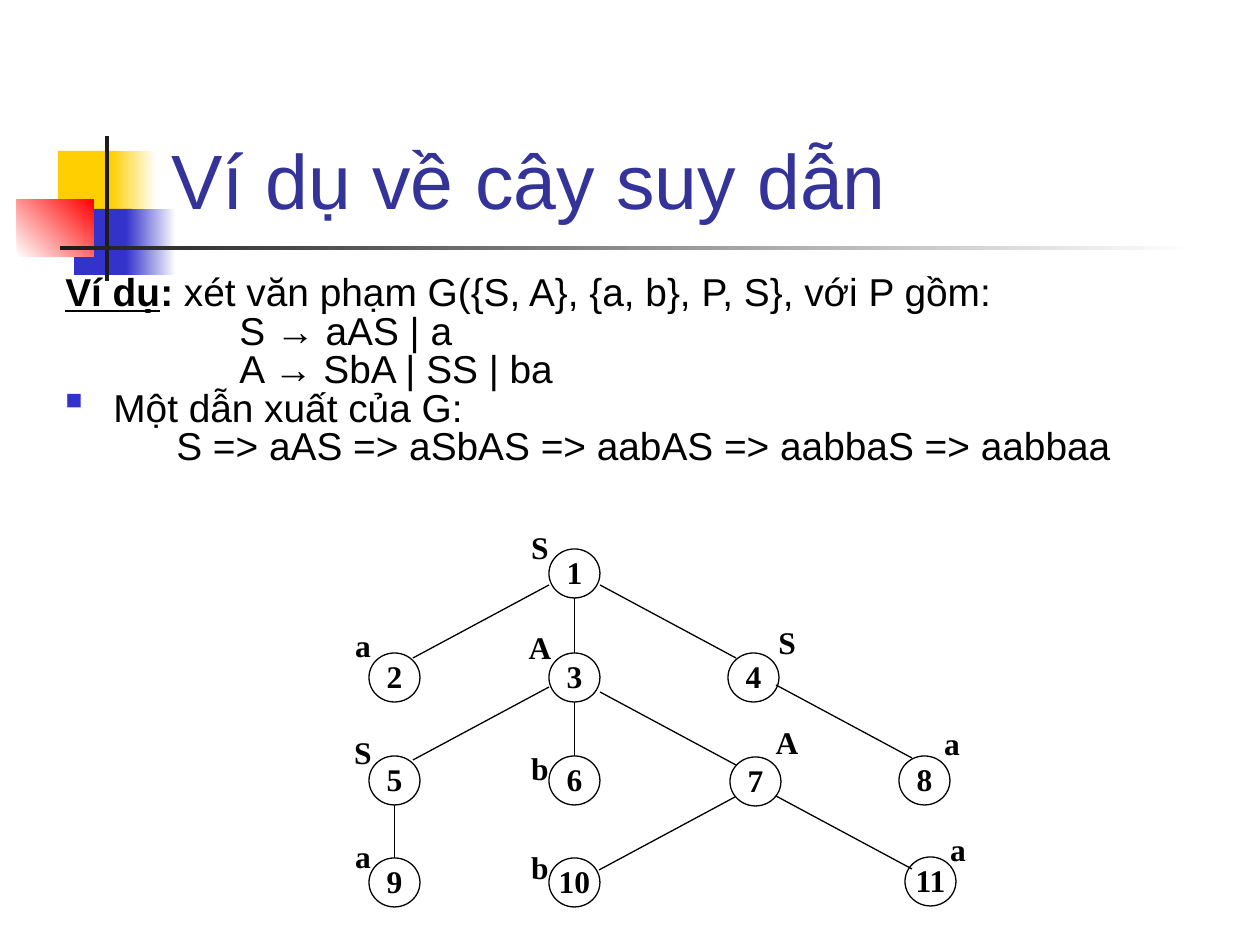
"""Builds the slide about a derivation tree for a small grammar."""
import lxml.etree
import pptx
import pptx.dml.color
import pptx.enum.shapes
import pptx.enum.text
import pptx.oxml
import pptx.oxml.ns
import pptx.util

RGB = pptx.dml.color.RGBColor
SHAPE = pptx.enum.shapes.MSO_SHAPE
ALIGN = pptx.enum.text.PP_ALIGN
ANCHOR = pptx.enum.text.MSO_ANCHOR
qn = pptx.oxml.ns.qn

WHITE = RGB(0xFF, 0xFF, 0xFF)
BLACK = RGB(0x00, 0x00, 0x00)
YELLOW = RGB(0xFF, 0xCF, 0x01)
BLUE = RGB(0x33, 0x33, 0xCC)
RED = RGB(0xFF, 0x00, 0x00)
DARK = RGB(0x1C, 0x1C, 0x1C)
NAVY = RGB(0x33, 0x33, 0x99)

NODE_W, NODE_H = 51, 49
LABEL_W, LABEL_H = 54, 34
BRANCH_W, BRANCH_H = 136, 73

DECOR = [
    (58, 151, 60, 66, YELLOW, None, 0),
    (111, 151, 45, 66, YELLOW, WHITE, 0),
    (74, 209, 58, 66, BLUE, None, 0),
    (126, 209, 50, 66, BLUE, WHITE, 0),
    (17, 199, 77, 58, WHITE, RED, 45),
    (105, 136, 4, 145, DARK, None, 0),
    (60, 246, 1134, 4, DARK, WHITE, 0),
]
BODY = [
    ([("Ví dụ", True, True), (": ", True, False),
      ("xét văn phạm G({S, A}, {a, b}, P, S}, với P gồm:", False, False)], False),
    ([("\t\t\tS → aAS | a", False, False)], False),
    ([("\t\t\tA → SbA | SS | ba", False, False)], False),
    ([("Một dẫn xuất của G:", False, False)], True),
    ([("\t\tS => aAS => aSbAS => aabAS => aabbaS => aabbaa", False, False)], False),
]
NODES = {
    "1": (549, 549), "2": (369, 653), "3": (549, 653), "4": (728, 653),
    "5": (369, 756), "6": (549, 756), "7": (730, 757), "8": (899, 756),
    "9": (369, 858), "10": (549, 858), "11": (905, 857),
}
STEMS = [("1", "3"), ("3", "6"), ("5", "9")]
BRANCHES = [
    (549, 585, -1), (549, 687, -1), (735, 797, -1),
    (600, 585, 1), (600, 692, 1), (776, 685, 1), (776, 796, 1),
]
LABELS = [
    ("S", 513, 535), ("A", 513, 635), ("b", 513, 756), ("b", 513, 855),
    ("a", 336, 633), ("S", 336, 740), ("a", 336, 844), ("S", 760, 630),
    ("A", 760, 730), ("a", 931, 837), ("a", 925, 731),
]


def px(n):
    return pptx.util.Emu(round(n * 914400 / 126))


class Board:
    """Holds the style and the current slide."""

    head, text, tree = ("Arial", 44, NAVY), ("Arial", 22.2, BLACK), ("Times New Roman", 18, BLACK)

    def __init__(self, slide):
        self.slide = slide

    def run(self, p, text, style, bold=False, underline=False):
        r = p.add_run()
        r.text = text
        r.font.name, r.font.color.rgb = style[0], style[2]
        r.font.size = pptx.util.Pt(style[1])
        r.font.bold, r.font.underline = bold, underline

    def shape(self, kind, x, y, w, h):
        s = self.slide.shapes.add_shape(kind, px(x), px(y), px(w), px(h))
        s.shadow.inherit = False
        return s

    def decor(self, x, y, w, h, color, fade, angle):
        s = self.shape(SHAPE.RECTANGLE, x, y, w, h)
        s.line.fill.background()
        if fade is None:
            s.fill.solid()
            s.fill.fore_color.rgb = color
            return
        s.fill.gradient()
        s.fill.gradient_angle = angle
        for stop, rgb in zip(s.fill.gradient_stops, (color, fade)):
            stop.color.rgb = rgb

    def title(self, text, x, y, w, h):
        s = self.slide.shapes.title
        s.left, s.top, s.width, s.height = px(x), px(y), px(w), px(h)
        s.element.getparent().append(s.element)
        tf = s.text_frame
        tf.auto_size = pptx.enum.text.MSO_AUTO_SIZE.NONE
        tf.vertical_anchor = ANCHOR.BOTTOM
        p = tf.paragraphs[0]
        p.alignment = ALIGN.LEFT
        self.run(p, text, self.head)

    def body(self, paragraphs, x, y, w, h):
        tf = self.slide.shapes.add_textbox(px(x), px(y), px(w), px(h)).text_frame
        tf.word_wrap = True
        for i, (runs, bulleted) in enumerate(paragraphs):
            p = tf.add_paragraph() if i else tf.paragraphs[0]
            p.line_spacing, p.space_before = 0.6, pptx.util.Pt(6)
            for text, bold, underline in runs:
                self.run(p, text, self.text, bold, underline)
            self.indent(p, bulleted)

    def indent(self, p, bulleted):
        pPr = p._p.get_or_add_pPr()
        pPr.set("marL", str(px(48)))
        pPr.set("indent", str(-px(48)))
        if bulleted:
            color = lxml.etree.SubElement(pPr, qn("a:buClr"))
            lxml.etree.SubElement(color, qn("a:srgbClr"), val=str(BLUE))
            lxml.etree.SubElement(pPr, qn("a:buSzPct"), val="60000")
            lxml.etree.SubElement(pPr, qn("a:buChar"), char="■")
        else:
            lxml.etree.SubElement(pPr, qn("a:buNone"))
        tabs = lxml.etree.SubElement(pPr, qn("a:tabLst"))
        for i in range(8):
            lxml.etree.SubElement(tabs, qn("a:tab"), pos=str(px(126 * i)), algn="l")

    def node(self, text, x, y):
        s = self.shape(SHAPE.OVAL, x, y, NODE_W, NODE_H)
        s.fill.solid()
        s.fill.fore_color.rgb = WHITE
        s.line.color.rgb, s.line.width = BLACK, pptx.util.Pt(0.75)
        tf = s.text_frame
        tf.margin_left = tf.margin_right = tf.margin_top = tf.margin_bottom = 0
        tf.word_wrap = False
        self.centred(tf, text, 0.95)
        return s

    def label(self, text, x, y):
        tf = self.slide.shapes.add_textbox(px(x), px(y), px(LABEL_W), px(LABEL_H)).text_frame
        tf.word_wrap = True
        self.centred(tf, text, 0.63)

    def centred(self, tf, text, spacing):
        tf.vertical_anchor = ANCHOR.MIDDLE
        p = tf.paragraphs[0]
        p.alignment, p.line_spacing = ALIGN.CENTER, spacing
        self.run(p, text, self.tree, bold=True)

    def line(self, x1, y1, x2, y2):
        s = self.slide.shapes.add_connector(
            pptx.enum.shapes.MSO_CONNECTOR.STRAIGHT, px(x1), px(y1), px(x2), px(y2))
        s.line.color.rgb, s.line.width = BLACK, pptx.util.Pt(0.75)
        lxml.etree.SubElement(s.element.spPr, qn("a:effectLst"))
        return s


def main():
    prs = pptx.Presentation()
    prs.slide_width, prs.slide_height = px(1260), px(945)
    board = Board(prs.slides.add_slide(prs.slide_layouts[5]))
    for item in DECOR:
        board.decor(*item)
    board.title("Ví dụ về cây suy dẫn", 159, 29, 1074, 202)
    board.body(BODY, 53, 278, 1182, 215)
    nodes = {name: board.node(name, x, y) for name, (x, y) in NODES.items()}
    for parent, child in STEMS:
        x, y = NODES[parent]
        mid = x + NODE_W / 2
        board.line(mid, y + NODE_H, mid, NODES[child][1]).end_connect(nodes[child], 0)
    for x, y, side in BRANCHES:
        board.line(x, y, x + side * BRANCH_W, y + BRANCH_H)
    for item in LABELS:
        board.label(*item)
    prs.save("out.pptx")


if __name__ == "__main__":
    main()
